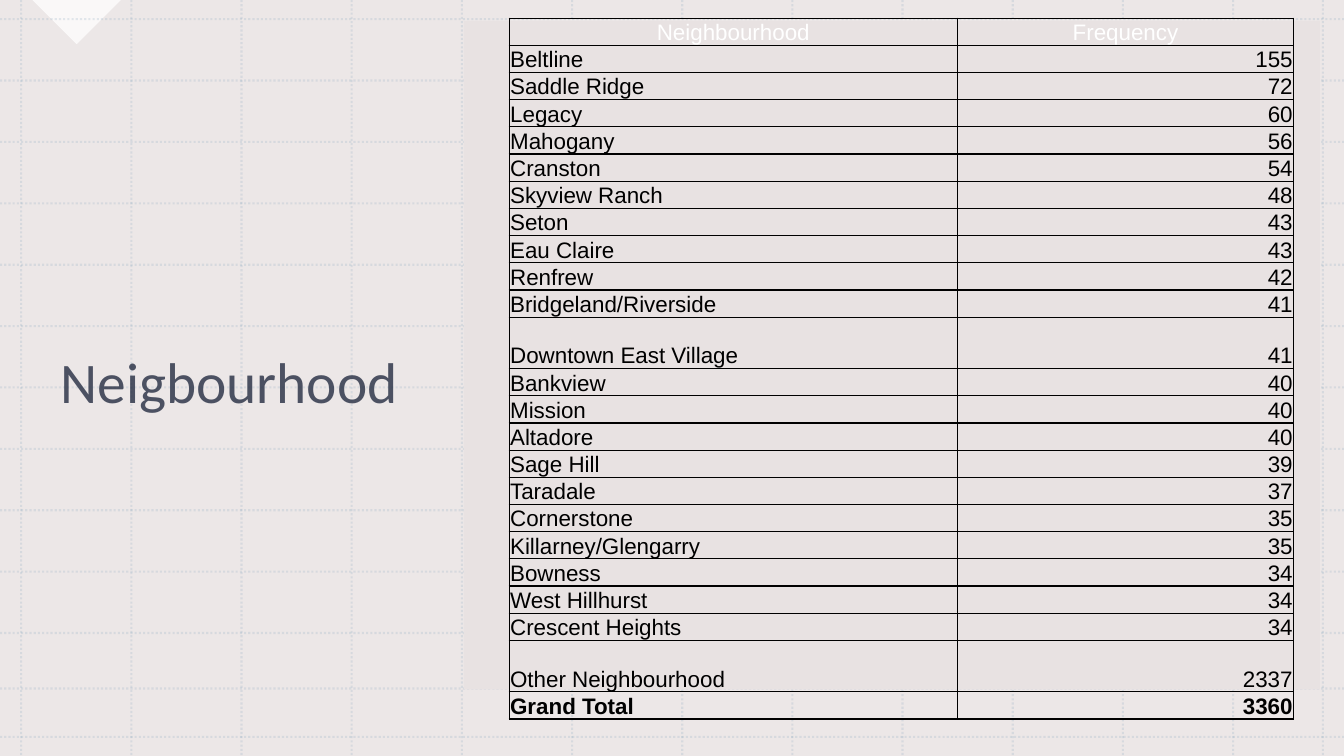
from lxml.etree import SubElement
from pptx import Presentation
from pptx.dml.color import RGBColor
from pptx.enum.dml import MSO_LINE_DASH_STYLE as Dash
from pptx.enum.shapes import MSO_CONNECTOR_TYPE as Connector, MSO_SHAPE as Shape
from pptx.enum.text import MSO_ANCHOR as Anchor, MSO_AUTO_SIZE as AutoSize, PP_ALIGN as Align
from pptx.oxml.ns import qn
from pptx.util import Inches, Pt

COLORS = {
    "paper": "FFFFFF",
    "panel": "E8E2E2",
    "grid": "7FA1BA",
    "title": "242C41",
    "header": "FFFFFF",
    "text": "000000",
}
ROWS = [
    ("Neighbourhood", "Frequency"),
    ("Beltline", "155"),
    ("Saddle Ridge", "72"),
    ("Legacy", "60"),
    ("Mahogany", "56"),
    ("Cranston", "54"),
    ("Skyview Ranch", "48"),
    ("Seton", "43"),
    ("Eau Claire", "43"),
    ("Renfrew", "42"),
    ("Bridgeland/Riverside", "41"),
    ("Downtown East Village", "41"),
    ("Bankview", "40"),
    ("Mission", "40"),
    ("Altadore", "40"),
    ("Sage Hill", "39"),
    ("Taradale", "37"),
    ("Cornerstone", "35"),
    ("Killarney/Glengarry", "35"),
    ("Bowness", "34"),
    ("West Hillhurst", "34"),
    ("Crescent Heights", "34"),
    ("Other Neighbourhood", "2337"),
    ("Grand Total", "3360"),
]
TALL_ROWS = {"Downtown East Village", "Other Neighbourhood"}


def color(name):
    """Return the named colour."""
    return RGBColor.from_string(COLORS[name])


def set_opacity(element, percent):
    """Make the solid colour inside an element partly transparent."""
    solid = next(element.iter(qn("a:srgbClr")))
    SubElement(solid, qn("a:alpha")).set("val", str(percent * 1000))


def add_block(slide, kind, box, fill, opacity=100):
    """Add a filled shape without outline or shadow."""
    shape = slide.shapes.add_shape(kind, *map(Inches, box))
    shape.shadow.inherit = False
    shape.fill.solid()
    shape.fill.fore_color.rgb = color(fill)
    shape.line.fill.background()
    if opacity < 100:
        set_opacity(shape.element.spPr, opacity)
    return shape


def add_grid_line(slide, start, end):
    """Add one faint dotted line."""
    line = slide.shapes.add_connector(Connector.STRAIGHT, *map(Inches, start + end))
    line.line.color.rgb = color("grid")
    line.line.width = Pt(1.5)
    line.line.dash_style = Dash.ROUND_DOT
    set_opacity(line.element.spPr, 20)
    SubElement(line.element.spPr, qn("a:effectLst"))


def add_backdrop(slide, box):
    """Fill the box with a tint, a corner triangle and a dotted grid."""
    left, top, width, height = box
    add_block(slide, Shape.RECTANGLE, box, "panel", 80)
    corner_box = (left + 0.45, top - 0.31, 0.62, 0.62)
    corner = add_block(slide, Shape.RIGHT_TRIANGLE, corner_box, "paper", 75)
    corner.rotation = 315
    for x in [0.21 + 12.02 / 11 * i for i in range(12)] + [13.12]:
        add_grid_line(slide, (left + x, top), (left + x, top + height))
    for y in [0.19 + 0.609 * i for i in range(11)] + [6.83, 7.31]:
        add_grid_line(slide, (left, top + y), (left + width, top + y))


def add_title(slide, box):
    """Place the title placeholder in front of the backdrop."""
    title = slide.shapes.title
    title.element.getparent().append(title.element)
    title.left, title.top, title.width, title.height = map(Inches, box)
    frame = title.text_frame
    frame.text = "Neigbourhood"
    frame.word_wrap = True
    frame.auto_size = AutoSize.NONE
    frame.vertical_anchor = Anchor.MIDDLE
    paragraph = frame.paragraphs[0]
    paragraph.alignment = Align.LEFT
    paragraph.line_spacing = 0.9
    run = paragraph.runs[0]
    run.font.name = "Calibri"
    run.font.size = Pt(41)
    run.font.color.rgb = color("title")
    set_opacity(run.font._element, 80)


def add_borders(cell):
    """Draw a thin line on each side of a cell."""
    properties = cell._tc.get_or_add_tcPr()
    for index, side in enumerate(("lnL", "lnR", "lnT", "lnB")):
        border = properties.makeelement(qn(f"a:{side}"), {"w": str(Pt(1))})
        properties.insert(index, border)
        fill = SubElement(border, qn("a:solidFill"))
        SubElement(fill, qn("a:srgbClr")).set("val", COLORS["text"])


def format_cell(cell, text, alignment, text_color, bold):
    """Write and format one table cell."""
    cell.text = text
    cell.fill.background()
    cell.vertical_anchor = Anchor.BOTTOM
    cell.margin_left = cell.margin_right = cell.margin_top = Inches(0.01)
    cell.margin_bottom = 0
    paragraph = cell.text_frame.paragraphs[0]
    paragraph.alignment = alignment
    font = paragraph.runs[0].font
    font.name = "Arial"
    font.size = Pt(16)
    font.bold = bold
    font.color.rgb = color(text_color)
    add_borders(cell)


def add_frequency_table(slide, box):
    """Add the table of neighbourhood frequencies."""
    frame = slide.shapes.add_table(len(ROWS), 2, *map(Inches, box))
    table = frame.table
    table.horz_banding = False
    for column, share in zip(table.columns, (4 / 7, 3 / 7)):
        column.width = Inches(box[2] * share)
    for index, values in enumerate(ROWS):
        is_header = index == 0
        is_total = index == len(ROWS) - 1
        table.rows[index].height = Inches(0.51 if values[0] in TALL_ROWS else 0.27)
        for column, alignment in enumerate((Align.LEFT, Align.RIGHT)):
            format_cell(
                table.cell(index, column),
                values[column],
                Align.CENTER if is_header else alignment,
                "header" if is_header else "text",
                is_total,
            )


def build_neighbourhood_slide(presentation):
    """Build the slide with the title and the frequency table."""
    slide = presentation.slides.add_slide(presentation.slide_layouts[5])
    slide.background.fill.solid()
    slide.background.fill.fore_color.rgb = color("paper")
    add_backdrop(slide, (0, 0, 13.33, 7.5))
    add_title(slide, (0.5, 0.79, 4.07, 6.05))
    add_block(slide, Shape.RECTANGLE, (4.6, 0.21, 8.49, 6.63), "panel")
    add_frequency_table(slide, (5.05, 0.18, 7.78, 6.96))


presentation = Presentation()
presentation.slide_width = Inches(13.33)
presentation.slide_height = Inches(7.5)
build_neighbourhood_slide(presentation)
presentation.save("out.pptx")
